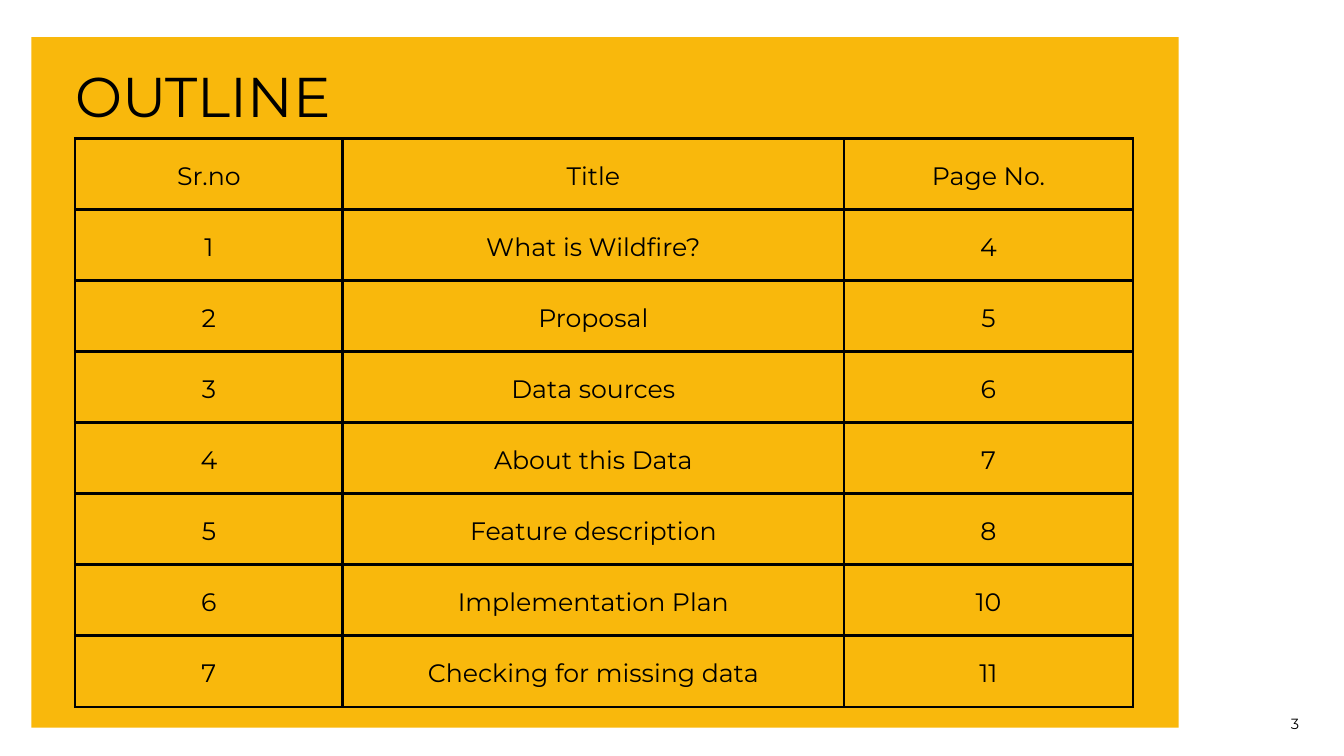
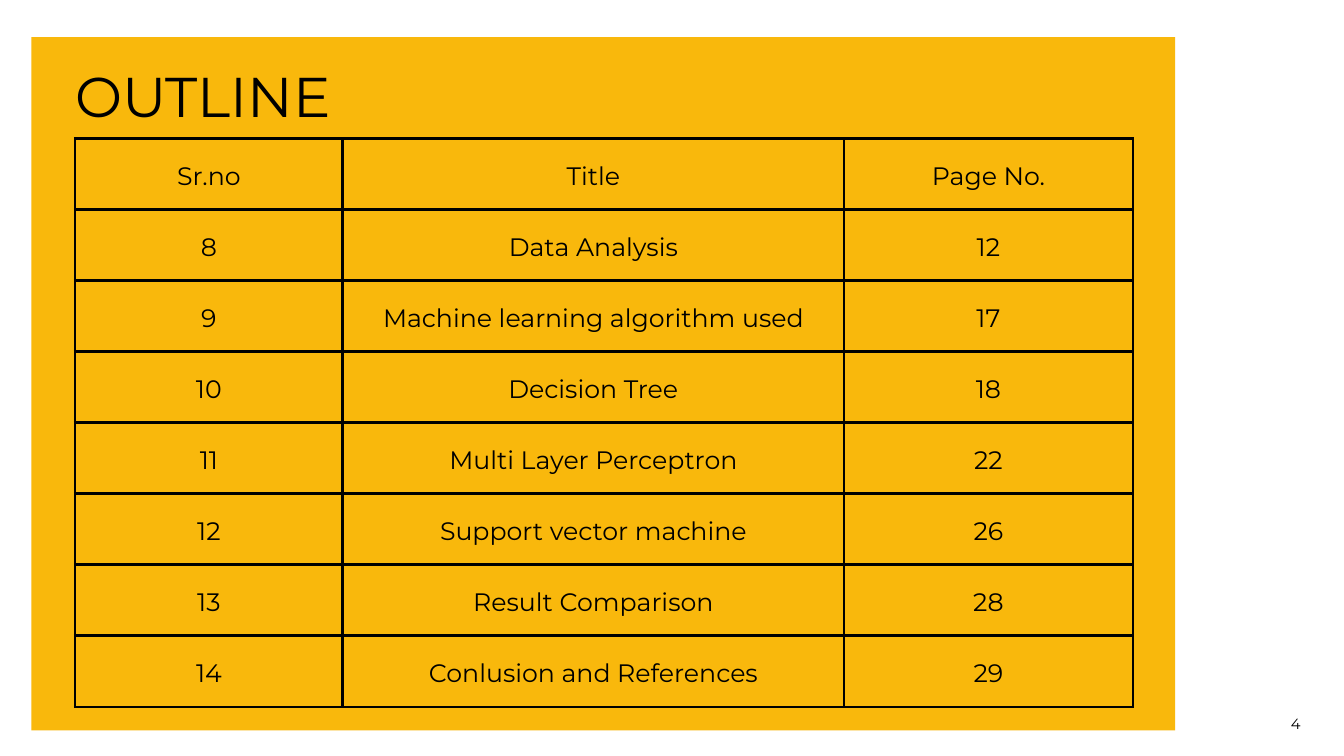
import pptx
import pptx.util
import pptx.dml.color
import pptx.enum.shapes
import pptx.enum.text
import pptx.oxml.ns
import lxml.etree

Cm, Pt = pptx.util.Cm, pptx.util.Pt

FONT = "Montserrat"
BLACK, WHITE, AMBER = "000000", "FFFFFF", "F9B80C"
TITLE = "OUTLINE"
HEAD = ("Sr.no", "Title", "Page No.")

TOPICS = [
    ("What is Wildfire?", 4),
    ("Proposal", 5),
    ("Data sources", 6),
    ("About this Data", 7),
    ("Feature description", 8),
    ("Implementation Plan", 10),
    ("Checking for missing data", 11),
    ("Data Analysis", 12),
    ("Machine learning algorithm used", 17),
    ("Decision Tree", 18),
    ("Multi Layer Perceptron", 22),
    ("Support vector machine", 26),
    ("Result Comparison", 28),
    ("Conlusion and References", 29),
]
PER_PAGE = 7
FIRST_PAGE = 3
PANELS = [(43.36, 26.11), (43.23, 26.21)]

LEFT, TOP = 2.84, 5.23
COLS = (10.11, 18.95, 10.92)
HEIGHT = 21.49
INSET = 0.53


def color(code):
    return pptx.dml.color.RGBColor.from_string(code)


def style(para, size, lead):
    para.line_spacing = Pt(lead)
    para.font.size = Pt(size)
    para.font.name = FONT
    para.font.color.rgb = color(BLACK)


def add_text(slide, box, text, size, lead):
    frame = slide.shapes.add_textbox(*map(Cm, box)).text_frame
    frame.margin_left = frame.margin_right = 0
    frame.margin_top = frame.margin_bottom = 0
    frame.word_wrap = True
    para = frame.paragraphs[0]
    para.text = text
    style(para, size, lead)
    return para


def add_panel(slide, size):
    panel = slide.shapes.add_shape(
        pptx.enum.shapes.MSO_SHAPE.RECTANGLE, Cm(1.19), Cm(1.4), *map(Cm, size))
    panel.shadow.inherit = False
    panel.fill.solid()
    panel.fill.fore_color.rgb = color(AMBER)
    panel.line.fill.background()


def add_border(cell):
    qn = pptx.oxml.ns.qn
    props = cell._tc.get_or_add_tcPr()
    for side in ("lnL", "lnR", "lnT", "lnB"):
        line = lxml.etree.SubElement(props, qn("a:" + side), w=str(Pt(3)))
        fill = lxml.etree.SubElement(line, qn("a:solidFill"))
        lxml.etree.SubElement(fill, qn("a:srgbClr"), val=BLACK)


def fill_cell(cell, text):
    add_border(cell)
    cell.fill.background()
    cell.margin_left = cell.margin_right = Cm(INSET)
    cell.margin_top = cell.margin_bottom = Cm(INSET)
    cell.vertical_anchor = pptx.enum.text.MSO_ANCHOR.MIDDLE
    para = cell.text_frame.paragraphs[0]
    para.text = str(text)
    para.alignment = pptx.enum.text.PP_ALIGN.CENTER
    style(para, 27, 37.8)


def add_grid(slide, rows):
    table = slide.shapes.add_table(
        len(rows), len(COLS), Cm(LEFT), Cm(TOP), Cm(sum(COLS)), Cm(HEIGHT)).table
    table.first_row = table.horz_banding = False
    for col, width in zip(table.columns, COLS):
        col.width = Cm(width)
    for r, row in enumerate(rows):
        table.rows[r].height = Cm(HEIGHT / len(rows))
        for c, text in enumerate(row):
            fill_cell(table.cell(r, c), text)


def add_outline(deck, index, size):
    slide = deck.slides.add_slide(deck.slide_layouts[6])
    slide.background.fill.solid()
    slide.background.fill.fore_color.rgb = color(WHITE)
    add_panel(slide, size)
    start = index * PER_PAGE
    part = TOPICS[start:start + PER_PAGE]
    rows = [(start + n, *topic) for n, topic in enumerate(part, 1)]
    add_grid(slide, [HEAD] + rows)
    add_text(slide, (LEFT, 3.02, 15.85, 2.01), TITLE, 60, 52.8)
    page = add_text(slide, (48.79, 26.92, 0.66, 0.75),
                    str(FIRST_PAGE + index), 15.8, 22.2)
    page.runs[0].font._element.set("spc", "20")


def main():
    deck = pptx.Presentation()
    deck.slide_width, deck.slide_height = Cm(50.8), Cm(28.58)
    for index, size in enumerate(PANELS):
        add_outline(deck, index, size)
    deck.save("out.pptx")


if __name__ == "__main__":
    main()
